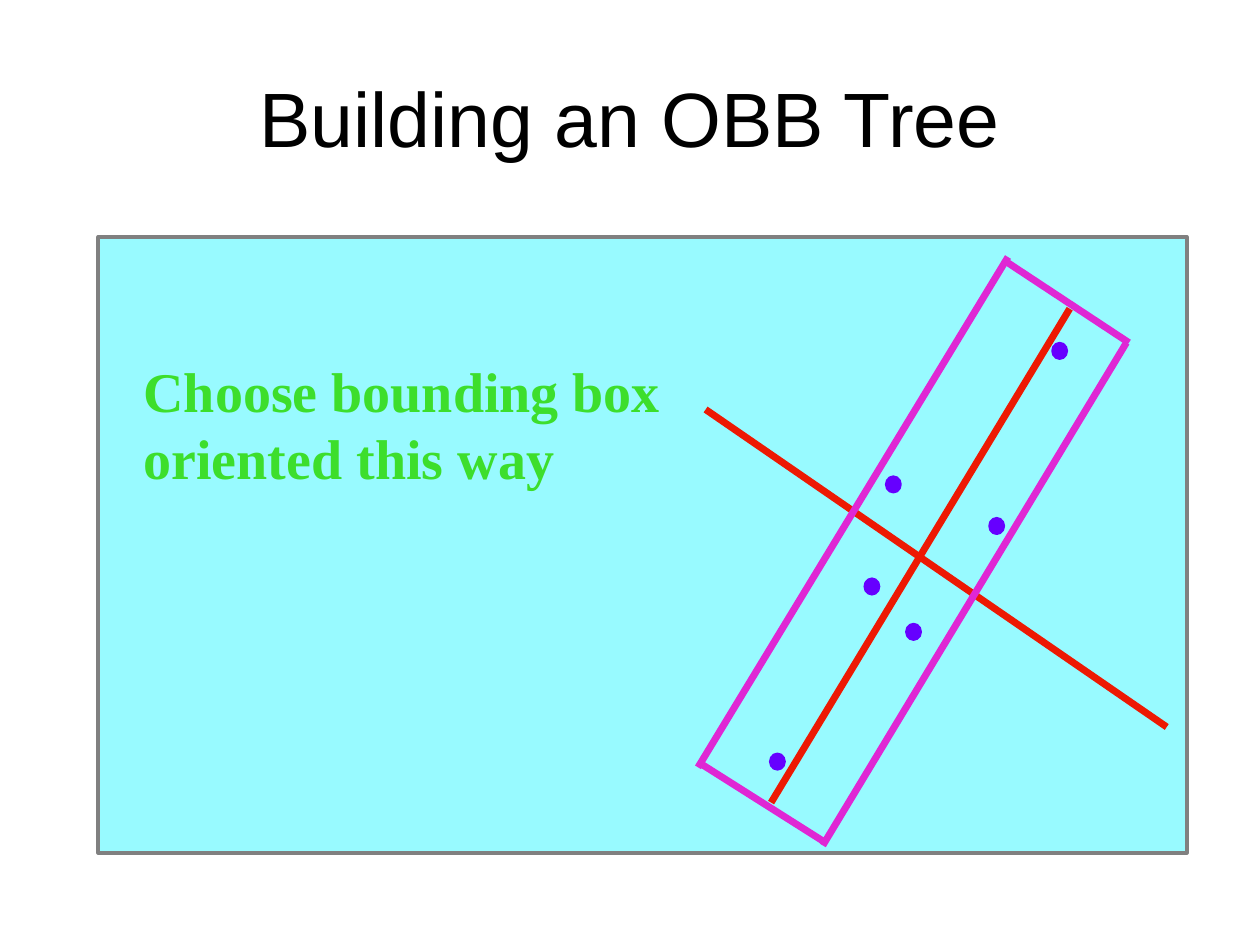
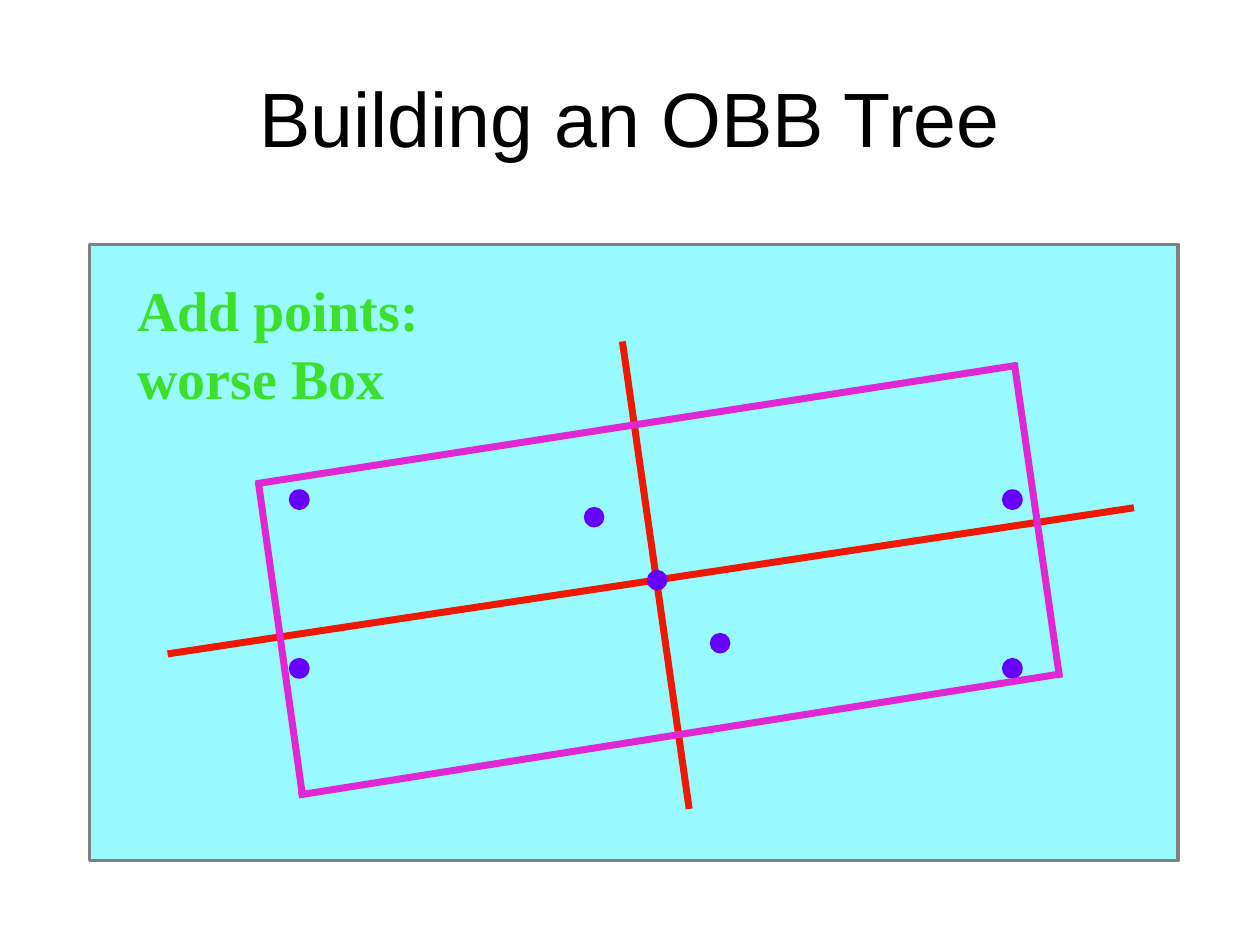
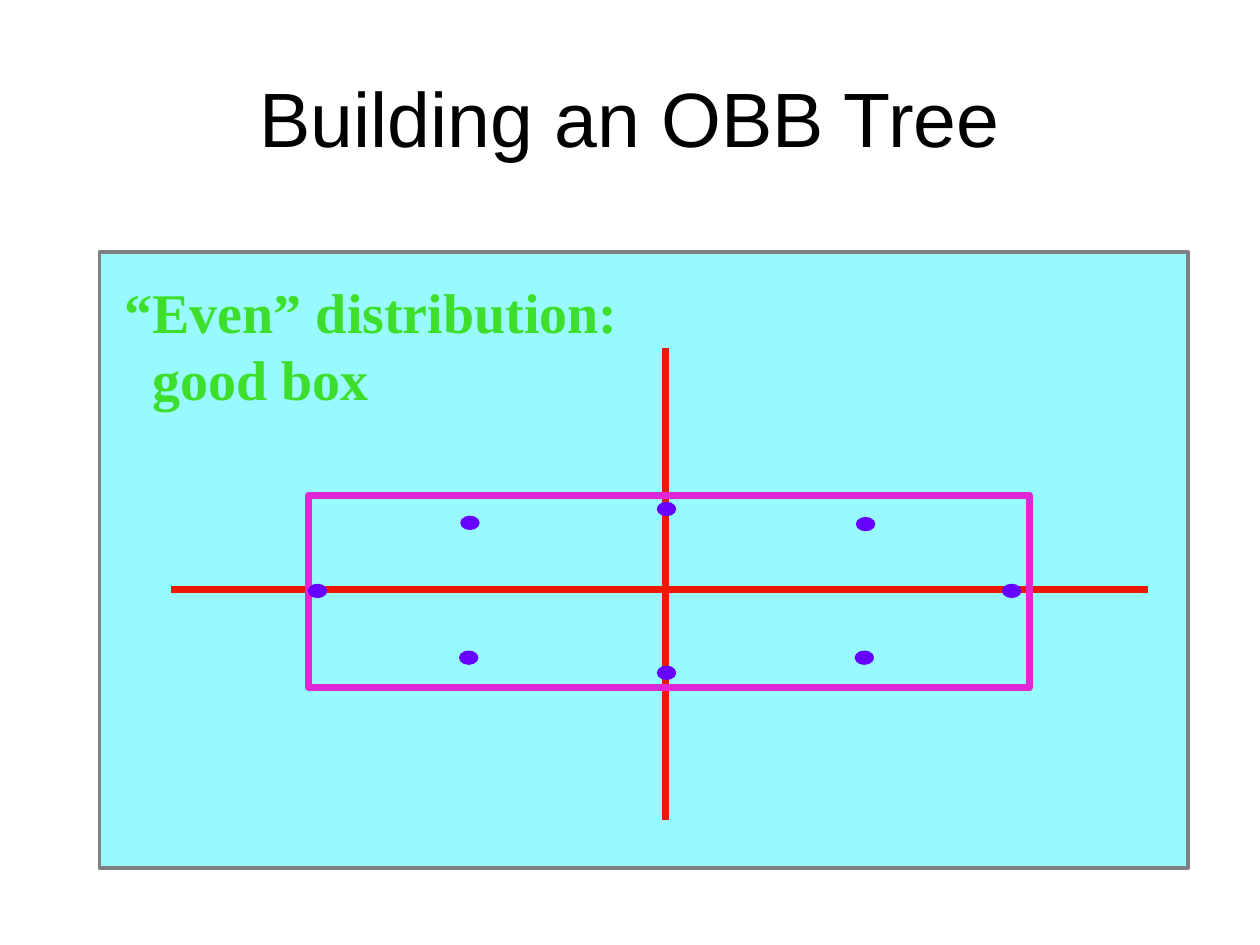
"""Build three slides about fitting oriented bounding boxes to points."""
from dataclasses import dataclass
from itertools import product

from pptx import Presentation
from pptx import util as u
from pptx.dml.color import RGBColor
from pptx.enum import shapes, text
from pptx.oxml.ns import qn
from pptx.oxml.xmlchemy import OxmlElement

COLORS = {
    "title": "000000",
    "panel": "98FAFF",
    "border": "808080",
    "caption": "3DDE2C",
    "point": "6600FF",
    "axis": "ED1903",
    "box": "DF27D4",
}
TITLE = "Building an OBB Tree"
PANEL_SIZE = (8.64, 4.89)
STROKE = 4


@dataclass(frozen=True)
class Segment:
    start: tuple[float, float]
    end: tuple[float, float]
    color: str

    def draw(self, slide) -> None:
        connector = slide.shapes.add_connector(
            shapes.MSO_CONNECTOR.STRAIGHT,
            *map(u.Inches, (*self.start, *self.end)),
        )
        connector.line.color.rgb = rgb(self.color)
        connector.line.width = u.Pt(STROKE)
        connector._element.spPr.append(OxmlElement("a:effectLst"))


@dataclass(frozen=True)
class Figure:
    position: tuple[float, float]
    size: tuple[float, float]
    line: str
    fill: str | None = None
    width: float = 1
    kind: shapes.MSO_SHAPE = shapes.MSO_SHAPE.RECTANGLE

    def draw(self, slide) -> None:
        shape = slide.shapes.add_shape(
            self.kind, *map(u.Inches, (*self.position, *self.size))
        )
        shape.shadow.inherit = False
        if self.fill:
            shape.fill.solid()
            shape.fill.fore_color.rgb = rgb(self.fill)
        else:
            shape.fill.background()
        shape.line.color.rgb = rgb(self.line)
        shape.line.width = u.Pt(self.width)


@dataclass(frozen=True)
class Caption:
    lines: tuple[str, str]
    position: tuple[float, float]
    width: float
    second_indent: float = 0


@dataclass(frozen=True)
class Example:
    panel_position: tuple[float, float]
    caption: Caption
    drawing: list[Segment | Figure]


def rgb(name: str) -> RGBColor:
    return RGBColor.from_string(COLORS[name])


def segments(color: str, *ends: tuple[float, float, float, float]) -> list[Segment]:
    return [Segment((x1, y1), (x2, y2), color) for x1, y1, x2, y2 in ends]


def points(positions, size: tuple[float, float], width: float = 1) -> list[Figure]:
    return [
        Figure(position, size, "point", "point", width, shapes.MSO_SHAPE.OVAL)
        for position in positions
    ]


def write(paragraph, content: str, *, font: str, size: float, color: str,
          bold: bool = False, align=text.PP_ALIGN.LEFT, indent: float = 0) -> None:
    paragraph.text = content
    paragraph.alignment = align
    if indent:
        paragraph._p.get_or_add_pPr().set("marL", str(u.Inches(indent)))
    run_font = paragraph.runs[0].font
    run_font.name = font
    run_font.size = u.Pt(size)
    run_font.bold = bold
    run_font.color.rgb = rgb(color)


def add_title(slide) -> None:
    title = slide.shapes.title
    title.left, title.top, title.width, title.height = map(
        u.Inches, (0.5, 0.3, 9, 1.25)
    )
    title.text_frame.vertical_anchor = text.MSO_ANCHOR.MIDDLE
    write(title.text_frame.paragraphs[0], TITLE, font="Arial", size=44,
          color="title", align=text.PP_ALIGN.CENTER)


def add_caption(slide, caption: Caption) -> None:
    box = slide.shapes.add_textbox(
        *map(u.Inches, (*caption.position, caption.width, 1.17))
    )
    frame = box.text_frame
    frame.word_wrap = False
    frame.auto_size = text.MSO_AUTO_SIZE.SHAPE_TO_FIT_TEXT
    paragraphs = (frame.paragraphs[0], frame.add_paragraph())
    indents = (0, caption.second_indent)
    for paragraph, line, indent in zip(paragraphs, caption.lines, indents):
        write(paragraph, line, font="Times New Roman", size=32,
              color="caption", bold=True, indent=indent)


EXAMPLES = [
    Example(
        (0.78, 1.88),
        Caption(("Choose bounding box", "oriented this way"), (1.04, 2.78), 4.31),
        points([(8.35, 2.72), (7.03, 3.78), (7.85, 4.11),
                (6.86, 4.59), (7.19, 4.95), (6.11, 5.98)], (0.12, 0.13))
        + segments("axis", (9.26, 5.77, 5.6, 3.25), (8.49, 2.45, 6.12, 6.37))
        + segments("box", (5.54, 6.09, 8, 2.04), (7.96, 2.06, 8.96, 2.72),
                   (8.94, 2.72, 6.53, 6.71), (5.56, 6.06, 6.54, 6.68)),
    ),
    Example(
        (0.71, 1.94),
        Caption(("Add points:", "worse Box"), (0.99, 2.14), 2.44),
        segments("axis", (9, 4.03, 1.33, 5.19), (4.94, 2.71, 5.47, 6.42))
        + points(product((2.32, 7.98), (3.91, 5.25)), (0.11, 0.11), STROKE)
        + points([(4.64 + 0.5 * step, 4.03 + 0.5 * step) for step in range(3)],
                 (0.15, 0.15))
        + segments("box", (2.03, 3.84, 8.07, 2.9), (2.05, 3.82, 2.4, 6.31),
                   (2.37, 6.31, 8.41, 5.35), (8.05, 2.88, 8.41, 5.38)),
    ),
    Example(
        (0.79, 2),
        Caption(("“Even” distribution:", "good box"), (0.89, 2.15), 4.12, 0.22),
        segments("axis", (9.11, 4.68, 1.36, 4.68), (5.28, 2.76, 5.28, 6.51))
        + [Figure((2.45, 3.93), (5.72, 1.53), "box", width=STROKE)]
        + points([(2.45, 4.64), (7.96, 4.64), (5.22, 3.99), (5.22, 5.29),
                  (3.66, 4.1), (3.65, 5.17), (6.79, 5.17), (6.8, 4.11)],
                 (0.14, 0.1)),
    ),
]


def add_example(presentation, example: Example) -> None:
    slide = presentation.slides.add_slide(presentation.slide_layouts[5])
    add_title(slide)
    Figure(example.panel_position, PANEL_SIZE, "border", "panel", 2).draw(slide)
    add_caption(slide, example.caption)
    for element in example.drawing:
        element.draw(slide)


def main() -> None:
    presentation = Presentation()
    presentation.slide_width = u.Inches(10)
    presentation.slide_height = u.Inches(7.5)
    for example in EXAMPLES:
        add_example(presentation, example)
    presentation.save("out.pptx")


if __name__ == "__main__":
    main()
